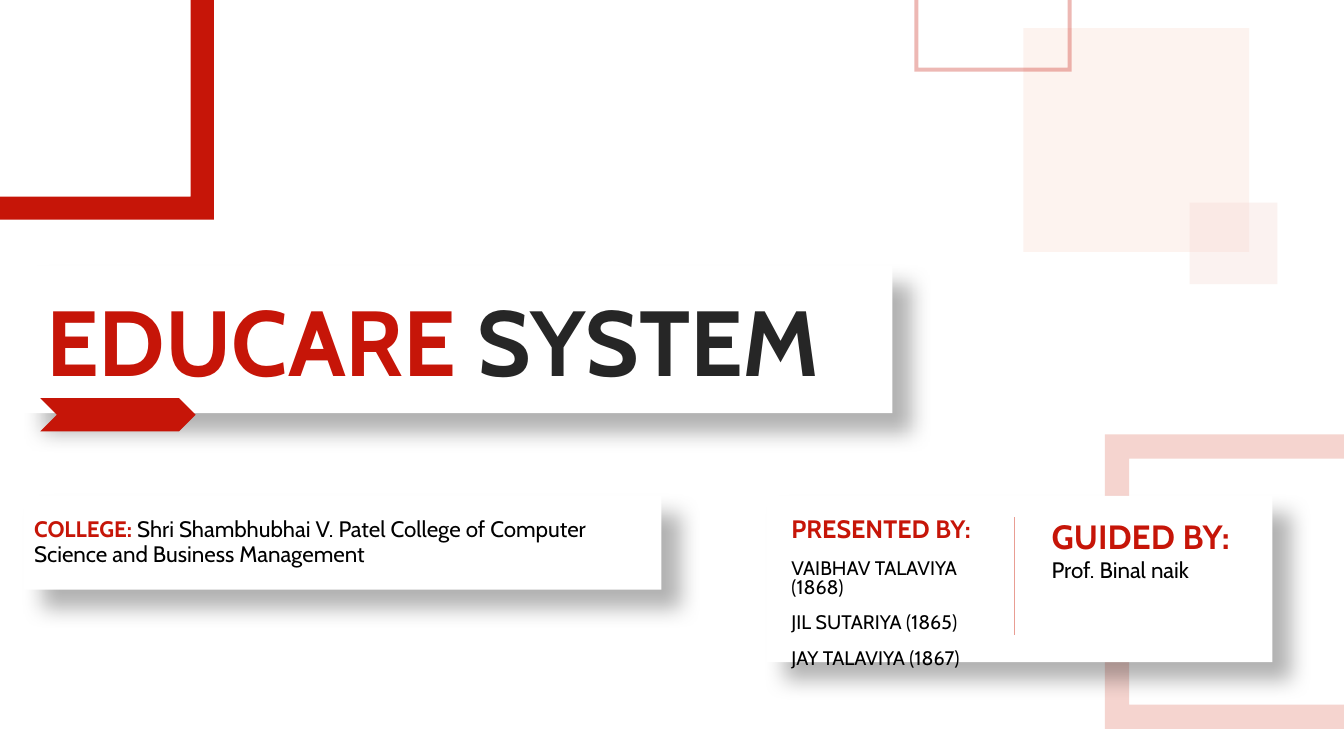
from lxml import etree
from pptx import Presentation
from pptx.dml.color import RGBColor
from pptx.enum.shapes import MSO_CONNECTOR, MSO_SHAPE
from pptx.enum.text import MSO_ANCHOR, MSO_AUTO_SIZE, PP_ALIGN
from pptx.oxml.ns import qn
from pptx.util import Pt

PX = 9144
SLIDE_WIDTH, SLIDE_HEIGHT = 1333, 750
TWO_CONTENT_LAYOUT = 3
FONT = "Cabin"

RED = RGBColor(0xC6, 0x15, 0x08)
ROSE = RGBColor(0xF5, 0xD4, 0xCF)
PEACH = RGBColor(0xFA, 0xD9, 0xCD)
DIVIDER = RGBColor(0xE9, 0x9D, 0x93)
CHARCOAL = RGBColor(0x26, 0x26, 0x26)
BLACK = RGBColor(0, 0, 0)
WHITE = RGBColor(0xFF, 0xFF, 0xFF)

RECTANGLE = MSO_SHAPE.RECTANGLE
CHEVRON = MSO_SHAPE.CHEVRON
STRAIGHT = MSO_CONNECTOR.STRAIGHT
LEFT = PP_ALIGN.LEFT
TOP, MIDDLE = MSO_ANCHOR.TOP, MSO_ANCHOR.MIDDLE
NO_FIT = MSO_AUTO_SIZE.NONE


def paint(shape, color, opacity=100):
    shape.shadow.inherit = False
    shape.fill.solid()
    shape.fill.fore_color.rgb = color
    shape.line.fill.background()
    if opacity < 100:
        tint = shape.fill._xPr.find(qn("a:solidFill"))[0]
        etree.SubElement(tint, qn("a:alpha"), val=str(opacity * 1000))


def lift(shape):
    paint(shape, WHITE)
    effects = shape._element.spPr.find(qn("a:effectLst"))
    shadow = etree.SubElement(
        effects, qn("a:outerShdw"), blurRad=str(Pt(15)), dist=str(Pt(18)),
        dir=str(45 * 60000), algn="tl", rotWithShape="0")
    tint = etree.SubElement(shadow, qn("a:srgbClr"), val="000000")
    etree.SubElement(tint, qn("a:alpha"), val="30000")


def add_block(slide, kind, box, color, opacity=100):
    block = slide.shapes.add_shape(kind, *(n * PX for n in box))
    paint(block, color, opacity)
    return block


def add_card(slide, box):
    card = add_block(slide, RECTANGLE, box, WHITE)
    lift(card)
    return card


def add_bracket(slide, corners, color, opacity=100):
    builder = slide.shapes.build_freeform(*corners[0], scale=PX)
    builder.add_line_segments(corners[1:], close=True)
    paint(builder.convert_to_shape(), color, opacity)


def add_divider(slide, x, top, bottom):
    divider = slide.shapes.add_connector(
        STRAIGHT, x * PX, top * PX, x * PX, bottom * PX)
    divider.line.color.rgb = DIVIDER
    divider.line.width = Pt(0.5)
    etree.SubElement(divider._element.spPr, qn("a:effectLst"))


def place(slide, placeholder, box):
    placeholder.left, placeholder.top, placeholder.width, placeholder.height = (
        n * PX for n in box)
    slide.shapes._spTree.append(placeholder._element)


def write(shape, paragraphs, anchor=TOP, spacing=1.0, gap=0, indent=0, wrap=True):
    frame = shape.text_frame
    frame.word_wrap = wrap
    frame.auto_size = NO_FIT
    frame.vertical_anchor = anchor
    for index, runs in enumerate(paragraphs):
        paragraph = frame.add_paragraph() if index else frame.paragraphs[0]
        properties = paragraph._p.get_or_add_pPr()
        properties.set("marL", str(indent * PX))
        properties.set("indent", "0")
        etree.SubElement(properties, qn("a:buNone"))
        paragraph.alignment = LEFT
        paragraph.line_spacing = spacing
        paragraph.space_before = Pt(gap if index else 0)
        for text, size, color, bold in runs:
            run = paragraph.add_run()
            run.text = text
            run.font.name = FONT
            run.font.size = Pt(size)
            run.font.bold = bold
            run.font.color.rgb = color


def add_background(slide):
    add_bracket(slide, [(189, 0), (212, 0), (212, 218), (0, 218),
                        (0, 195), (189, 195)], RED)
    add_bracket(slide, [(1096, 431), (1333, 431), (1333, 455), (1120, 455),
                        (1120, 699), (1333, 699), (1333, 723), (1096, 723)], ROSE)
    add_block(slide, RECTANGLE, (1015, 28, 224, 222), PEACH, 30)
    add_block(slide, RECTANGLE, (1180, 201, 87, 81), ROSE, 30)
    add_bracket(slide, [(907, 0), (911, 0), (911, 67), (1059, 67),
                        (1059, 0), (1063, 0), (1063, 71), (907, 71)], RED, 30)


def main():
    deck = Presentation()
    deck.slide_width = SLIDE_WIDTH * PX
    deck.slide_height = SLIDE_HEIGHT * PX
    slide = deck.slides.add_slide(deck.slide_layouts[TWO_CONTENT_LAYOUT])
    title, presenters, guide = list(slide.placeholders)[:3]
    for unused in list(slide.placeholders)[3:]:
        slide.shapes._spTree.remove(unused._element)

    add_background(slide)

    place(slide, title, (24, 264, 861, 146))
    lift(title)
    title.text_frame.margin_top = title.text_frame.margin_bottom = 0
    write(title, [[("EDUCARE", 66, RED, True), (" SYSTEM", 66, CHARCOAL, True)]],
          anchor=MIDDLE, indent=12, wrap=False)

    add_card(slide, (760, 492, 502, 165))
    add_block(slide, CHEVRON, (40, 395, 154, 33), RED)

    students = ["VAIBHAV TALAVIYA (1868)", "JIL SUTARIYA (1865)", "JAY TALAVIYA (1867)"]
    place(slide, presenters, (775, 510, 232, 146))
    write(presenters,
          [[("PRESENTED BY:", 18, RED, True)]]
          + [[(student, 14, BLACK, False)] for student in students],
          spacing=0.8, gap=12)

    place(slide, guide, (1033, 507, 242, 77))
    write(guide, [[("GUIDED BY:", 24, RED, True)],
                  [("Prof. Binal naik", 16, BLACK, False)]])
    add_divider(slide, 1006, 513, 630)

    college = add_card(slide, (24, 492, 632, 93))
    write(college,
          [[("COLLEGE: ", 16, RED, True),
            ("Shri Shambhubhai V. Patel College of Computer Science "
             "and Business Management", 16, BLACK, False)]],
          anchor=MIDDLE, spacing=0.9)

    deck.save("out.pptx")


if __name__ == "__main__":
    main()
